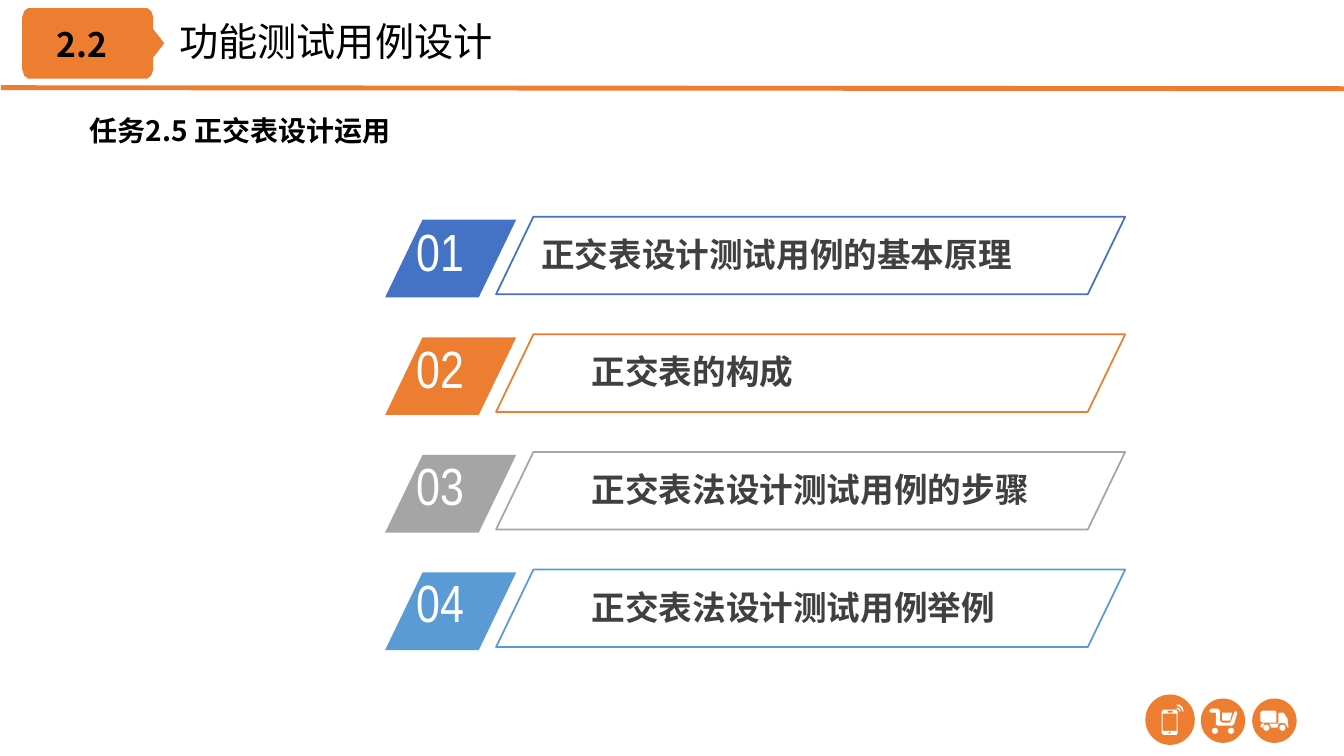
from dataclasses import dataclass
from math import cos, pi, sin

from lxml.etree import SubElement
from pptx import Presentation
from pptx.dml.color import RGBColor
from pptx.enum.shapes import MSO_CONNECTOR, MSO_SHAPE
from pptx.oxml.ns import qn
from pptx.util import Inches, Pt


@dataclass(frozen=True)
class Theme:
    blue: RGBColor = RGBColor(0x44, 0x72, 0xC4)
    orange: RGBColor = RGBColor(0xED, 0x7D, 0x31)
    gray: RGBColor = RGBColor(0xA5, 0xA5, 0xA5)
    sky: RGBColor = RGBColor(0x5B, 0x9B, 0xD5)
    white: RGBColor = RGBColor(0xFF, 0xFF, 0xFF)
    black: RGBColor = RGBColor(0, 0, 0)
    charcoal: RGBColor = RGBColor(0x40, 0x40, 0x40)
    font: str = "Noto Sans CJK SC"
    number_font: str = "Arial Narrow"
    title_size: float = 28
    section_size: float = 24
    item_size: float = 24
    task_size: float = 20
    number_size: float = 37.4


theme = Theme()
deck = Presentation()
deck.slide_width = Inches(13.33)
deck.slide_height = Inches(7.5)
page = deck.slides.add_slide(deck.slide_layouts[6])


def add_label(text, *, left, top, width, height, size, color=theme.black,
              font=theme.font, bold=False, indent=0, spacing=None):
    box = page.shapes.add_textbox(Inches(left), Inches(top), Inches(width), Inches(height))
    box.text_frame.word_wrap = True
    para = box.text_frame.paragraphs[0]
    if indent:
        para._p.get_or_add_pPr().set("indent", str(Inches(indent)))
    if spacing:
        para.line_spacing = spacing
    span = para.add_run()
    span.text = text
    span.font.size = Pt(size)
    span.font.bold = bold
    span.font.color.rgb = color
    span.font.name = font
    SubElement(span._r.get_or_add_rPr(), qn("a:ea")).set("typeface", font)


def add_outline(contours, color, circles=()):
    """Fill closed contours as one shape; each circle is (x, y, radius)."""
    turns = [2 * pi * step / 24 for step in range(24)]
    rings = [[(x + r * cos(turn), y + r * sin(turn)) for turn in turns] for x, y, r in circles]
    points = [[(Inches(x), Inches(y)) for x, y in contour] for contour in [*contours, *rings]]
    builder = page.shapes.build_freeform(*points[0][0])
    builder.add_line_segments(points[0][1:], close=True)
    for contour in points[1:]:
        builder.move_to(*contour[0])
        builder.add_line_segments(contour[1:], close=True)
    shape = builder.convert_to_shape()
    shape.shadow.inherit = False
    shape.fill.solid()
    shape.fill.fore_color.rgb = color
    shape.line.fill.background()


# Header
rule = page.shapes.add_connector(
    MSO_CONNECTOR.STRAIGHT, Inches(0.01), Inches(0.87), Inches(13.36), Inches(0.88))
rule.line.color.rgb = theme.orange
rule.line.width = Pt(3.5)
SubElement(rule._element.spPr, qn("a:effectLst"))

badge = [(0.28, 0.08), (1.46, 0.08), (1.5, 0.11), (1.52, 0.17), (1.52, 0.29),
         (1.63, 0.43), (1.52, 0.57), (1.52, 0.69), (1.5, 0.75), (1.46, 0.78),
         (0.28, 0.78), (0.24, 0.75), (0.22, 0.69), (0.22, 0.17), (0.24, 0.11)]
add_outline([badge], theme.orange)
add_label("2.2", left=0.46, top=0.19, width=0.95, height=0.5,
          size=theme.section_size, bold=True)
add_label("功能测试用例设计", left=1.68, top=0.12, width=4.92, height=0.57,
          size=theme.title_size)
add_label("任务2.5 正交表设计运用", left=0.29, top=0.91, width=12.7, height=0.6,
          size=theme.task_size, bold=True, indent=0.5, spacing=1.5)

# Numbered agenda
agenda = [
    ("正交表设计测试用例的基本原理", theme.blue, 5.27),
    ("正交表的构成", theme.orange, 5.77),
    ("正交表法设计测试用例的步骤", theme.gray, 5.77),
    ("正交表法设计测试用例举例", theme.sky, 5.77),
]
row_pitch = 3.5 / 3
for row, (item, color, item_left) in enumerate(agenda):
    top = 2.15 + row * row_pitch
    for left, offset, width, filled in [(3.82, 0.03, 1.3, True), (4.92, 0, 6.24, False)]:
        panel = page.shapes.add_shape(MSO_SHAPE.PARALLELOGRAM, Inches(left),
                                      Inches(top + offset), Inches(width), Inches(0.77))
        panel.adjustments[0] = 0.482
        panel.shadow.inherit = False
        if filled:
            panel.fill.solid()
            panel.fill.fore_color.rgb = color
            panel.line.fill.background()
        else:
            panel.fill.background()
            panel.line.color.rgb = color
            panel.line.width = Pt(1.25)
    add_label(f"{row + 1:02}", left=4.03, top=2.13 + row * 1.16, width=1.24, height=0.73,
              size=theme.number_size, color=theme.white, font=theme.number_font)
    add_label(item, left=item_left, top=top + 0.12, width=5.71, height=0.5,
              size=theme.item_size, color=theme.charcoal, bold=True)

# Footer icons
for left, top, width, height in [(11.36, 6.89, 0.49, 0.5), (11.91, 6.93, 0.44, 0.44),
                                 (12.42, 6.93, 0.44, 0.44)]:
    disc = page.shapes.add_shape(MSO_SHAPE.OVAL, Inches(left), Inches(top),
                                 Inches(width), Inches(height))
    disc.shadow.inherit = False
    disc.fill.solid()
    disc.fill.fore_color.rgb = theme.orange
    disc.line.fill.background()

phone_body = [(11.54, 7.04), (11.67, 7.04), (11.68, 7.06), (11.68, 7.27),
              (11.67, 7.29), (11.54, 7.29), (11.52, 7.27), (11.52, 7.06)]
phone_screen = [(11.53, 7.08), (11.67, 7.08), (11.67, 7.25), (11.53, 7.25)]
phone_speaker = [(11.58, 7.05), (11.63, 7.05), (11.63, 7.07), (11.58, 7.07)]
outer_wave = [(11.67, 6.99), (11.7, 6.99), (11.73, 7.02), (11.74, 7.06), (11.73, 7.06),
              (11.71, 7.02), (11.67, 7)]
inner_wave = [(11.67, 7.02), (11.7, 7.03), (11.71, 7.06), (11.7, 7.06), (11.69, 7.04),
              (11.67, 7.03)]
add_outline([phone_body, phone_screen, phone_speaker, outer_wave, inner_wave],
            theme.white, circles=[(11.6, 7.27, 0.01)])

cart_frame = [(12.01, 7.03), (12.08, 7.03), (12.1, 7.05), (12.1, 7.15), (12.12, 7.17),
              (12.2, 7.17), (12.21, 7.15), (12.24, 7.07), (12.26, 7.05), (12.27, 7.08),
              (12.24, 7.18), (12.22, 7.2), (12.08, 7.2), (12.06, 7.19), (12.06, 7.07),
              (12.01, 7.07), (11.99, 7.05)]
cart_basket = [(12.12, 7.07), (12.22, 7.07), (12.2, 7.15), (12.12, 7.15)]
add_outline([cart_frame, cart_basket], theme.white,
            circles=[(12.05, 7.25, 0.03), (12.21, 7.25, 0.03)])

truck_cargo = [(12.52, 7.05), (12.65, 7.05), (12.66, 7.07), (12.66, 7.17),
               (12.52, 7.17), (12.5, 7.15), (12.5, 7.07)]
truck_bumper = [(12.51, 7.18), (12.54, 7.18), (12.52, 7.22), (12.5, 7.21)]
truck_cab = [(12.69, 7.07), (12.73, 7.07), (12.77, 7.13), (12.78, 7.22), (12.77, 7.22),
             (12.75, 7.18), (12.72, 7.17), (12.68, 7.18), (12.67, 7.22), (12.61, 7.22),
             (12.59, 7.18), (12.68, 7.18), (12.68, 7.08)]
add_outline([truck_cargo, truck_bumper, truck_cab], theme.white,
            circles=[(12.56, 7.22, 0.03), (12.72, 7.22, 0.03)])

deck.save("out.pptx")
